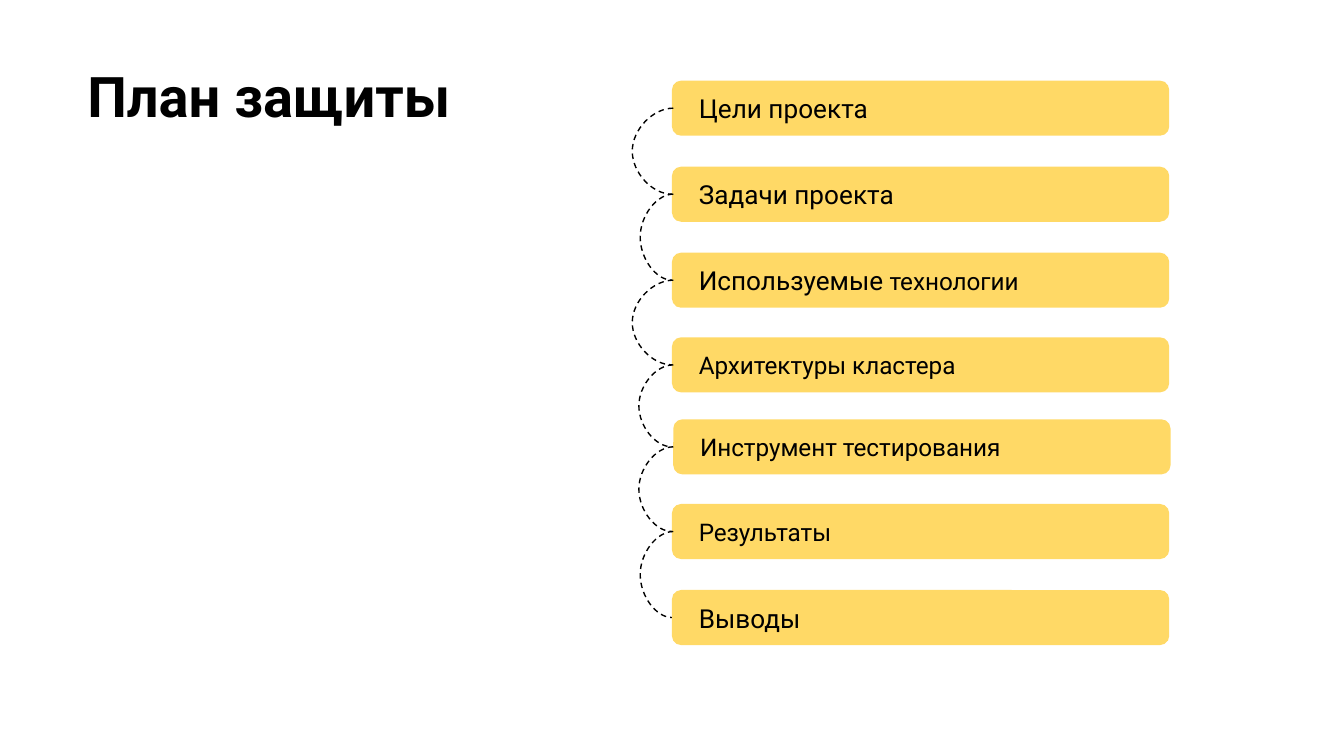
from dataclasses import dataclass
from itertools import pairwise

import pptx
import pptx.dml.color
import pptx.enum.dml
import pptx.enum.shapes
import pptx.enum.text
import pptx.oxml
import pptx.oxml.ns
import pptx.util

Inches, Pt = pptx.util.Inches, pptx.util.Pt
Anchor, Align = pptx.enum.text.MSO_ANCHOR, pptx.enum.text.PP_ALIGN
BLACK, GOLD = "000000", "FFD966"
WIDTH, HEIGHT = 3.7, 0.41
STEP = 0.01  # width of a link, the unit of its bulge


@dataclass
class Bar:
    top: float
    text: str
    size: int = 13
    left: float = 5
    tail: str = ""  # end of the text, in 13 points
    bulge: float = 0.25  # reach of the link to the next bar

    @property
    def mid(self) -> float:
        return self.top + HEIGHT / 2


BARS = [
    Bar(0.6, "Цели проекта", 14, bulge=0.31),
    Bar(1.24, "Задачи проекта", 14),
    Bar(1.88, "Используемые", 14, tail=" технологии", bulge=0.31),
    Bar(2.51, "Архитектуры кластера", bulge=0.26),
    Bar(3.12, "Инструмент тестирования", left=5.01, bulge=0.26),
    Bar(3.75, "Результаты"),
    Bar(4.39, "Выводы", 14),
]


def color(code: str) -> pptx.dml.color.RGBColor:
    return pptx.dml.color.RGBColor.from_string(code)


def style(para, size: int, bold: bool = False) -> None:
    para.alignment = Align.LEFT
    para.font.name = "Roboto"
    para.font.size = Pt(size)
    para.font.bold = bold
    para.font.color.rgb = color(BLACK)


def inset(frame, side: float) -> None:
    frame.margin_left = frame.margin_right = Inches(side)
    frame.margin_top = frame.margin_bottom = Inches(0.1)
    frame.word_wrap = True


def draw_bar(shapes, bar: Bar) -> None:
    shape = shapes.add_shape(
        pptx.enum.shapes.MSO_SHAPE.ROUNDED_RECTANGLE,
        Inches(bar.left), Inches(bar.top), Inches(WIDTH), Inches(HEIGHT))
    shape.shadow.inherit = False
    shape.fill.solid()
    shape.fill.fore_color.rgb = color(GOLD)
    shape.line.fill.background()
    frame = shape.text_frame
    inset(frame, 0.18)
    frame.vertical_anchor = Anchor.MIDDLE
    para = frame.paragraphs[0]
    para.add_run().text = bar.text
    style(para, bar.size)
    if bar.tail:
        run = para.add_run()
        run.text = bar.tail
        run.font.size = Pt(13)


def draw_link(shapes, bar: Bar, after: Bar) -> None:
    link = shapes.add_connector(
        pptx.enum.shapes.MSO_CONNECTOR.CURVE,
        Inches(5 + STEP), Inches(bar.mid), Inches(5), Inches(after.mid))
    link.line.color.rgb = color(BLACK)
    link.line.width = Pt(0.75)
    link.line.dash_style = pptx.enum.dml.MSO_LINE.DASH
    # Bend the curve to the left and drop its shadow
    props = link._element.spPr
    qn = pptx.oxml.ns.qn
    guides = props.find(qn("a:prstGeom")).get_or_add_avLst()
    guide = guides.makeelement(qn("a:gd"), {
        "name": "adj1", "fmla": f"val {round(bar.bulge / STEP * 100000)}"})
    guides.append(guide)
    props.append(props.makeelement(qn("a:effectLst"), {}))


def main() -> None:
    deck = pptx.Presentation()
    deck.slide_width, deck.slide_height = Inches(10), Inches(10 * 9 / 16)
    slide = deck.slides.add_slide(deck.slide_layouts[5])

    # Title
    title = slide.shapes.title
    title.left, title.top = Inches(0.55), Inches(0.36)
    title.width, title.height = Inches(9.32), Inches(1.2)
    frame = title.text_frame
    frame.text = "План защиты"
    inset(frame, 0.1)
    frame.auto_size = pptx.enum.text.MSO_AUTO_SIZE.NONE
    frame.vertical_anchor = Anchor.TOP
    style(frame.paragraphs[0], 30, bold=True)

    # Plan items and the links between them
    for bar in BARS:
        draw_bar(slide.shapes, bar)
    for bar, after in pairwise(BARS):
        draw_link(slide.shapes, bar, after)

    deck.save("out.pptx")


if __name__ == "__main__":
    main()
